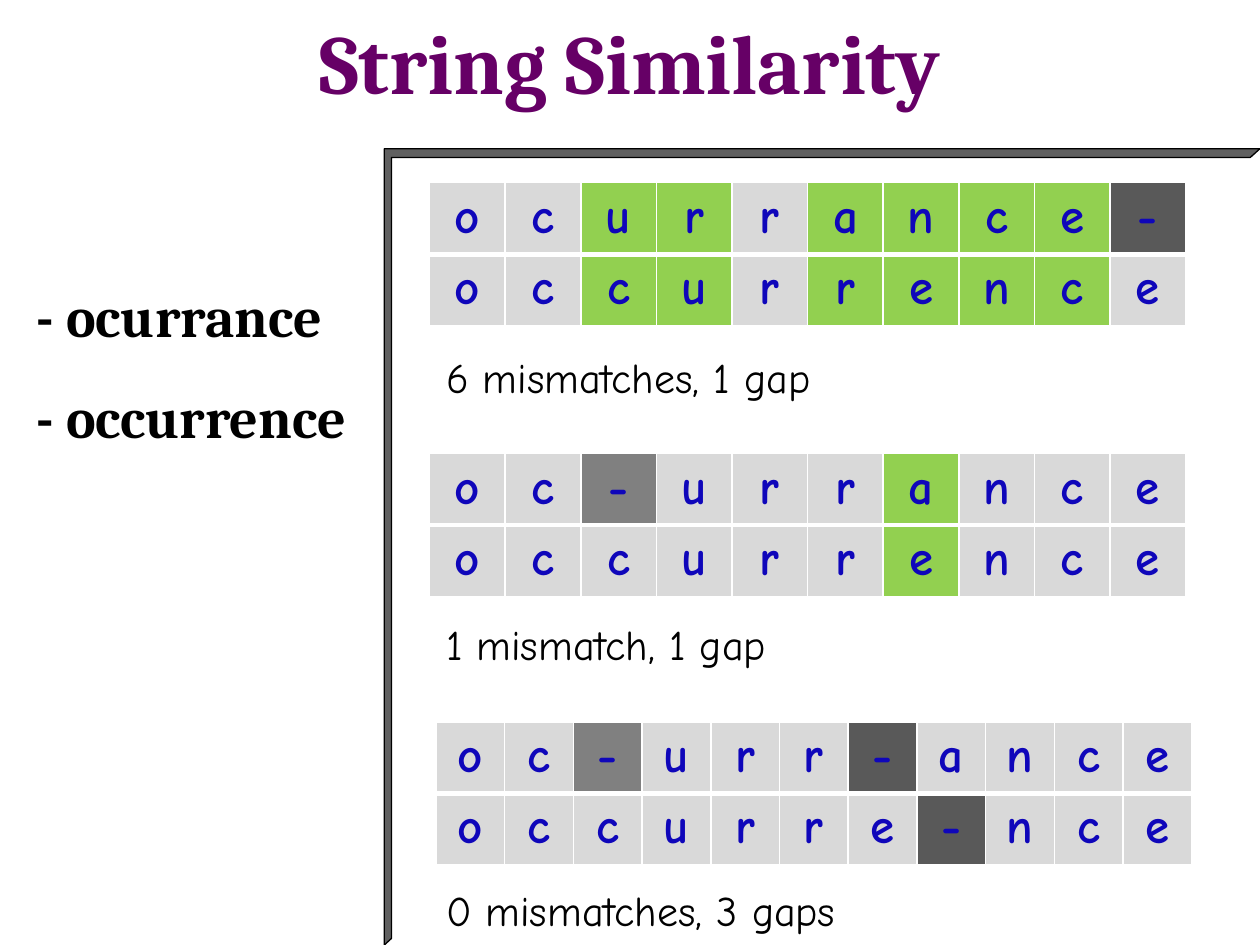
from pptx import Presentation
from pptx.dml.color import RGBColor
from pptx.enum import shapes, text
from pptx.oxml import parse_xml
from pptx.oxml.ns import nsdecls
from pptx.util import Inches, Pt

COLORS = {
    "title": "660066",
    "body": "000000",
    "letter": "0F06BA",
    "same": "D9D9D9",
    "mismatch": "92D050",
    "gap": "595959",
    "light_gap": "808080",
    "frame": "606060",
    "border": "FFFFFF",
}
MARKS = {".": "same", "x": "mismatch", "#": "gap", "+": "light_gap"}
TITLE = {"name": "Cambria", "size": Pt(48), "bold": True}
WORD = {"name": "Cambria", "size": Pt(32), "bold": True}
LETTER = {"name": "Comic Neue", "size": Pt(28), "bold": True}
CAPTION = {"name": "Comic Neue", "size": Pt(24), "bold": False}
ALIGNMENTS = [
    ((3.41, 1.45, 6, 1.13), [("ocurrance-", "..xx.xxxx#"), ("occurrence", "..xx.xxxx.")],
     (3.46, 2.75, 3.79, 0.48), "6 mismatches, 1 gap"),
    ((3.41, 3.6, 6, 1.13), [("oc-urrance", "..+...x..."), ("occurrence", "......x...")],
     (3.46, 4.87, 3.75, 0.48), "1 mismatch, 1 gap"),
    ((3.46, 5.73, 6, 1.13), [("oc-urr-ance", "..+...#...."), ("occurre-nce", ".......#...")],
     (3.46, 6.98, 4.09, 0.48), "0 mismatches, 3 gaps"),
]


def color(name):
    """Return the named colour."""
    return RGBColor.from_string(COLORS[name])


def apply(target, values):
    """Set each attribute of the target from a dict."""
    for name, value in values.items():
        setattr(target, name, value)


def write(paragraph, words, font, color_name, layout):
    """Fill a paragraph with formatted text."""
    run = paragraph.add_run()
    run.text = words
    apply(paragraph, layout)
    apply(run.font, font)
    run.font.color.rgb = color(color_name)


def add_text(slide, box, lines, font, color_name, layout, margins=(0.1, 0.05), anchor="TOP", indent=0):
    """Add a text box with one paragraph per line."""
    frame = slide.shapes.add_textbox(*map(Inches, box)).text_frame
    side, edge = map(Inches, margins)
    apply(frame, {
        "word_wrap": True,
        "vertical_anchor": text.MSO_ANCHOR[anchor],
        "margin_left": side, "margin_right": side,
        "margin_top": edge, "margin_bottom": edge,
    })
    for index, line in enumerate(lines):
        paragraph = frame.add_paragraph() if index else frame.paragraphs[0]
        if indent:
            paragraph._p.get_or_add_pPr().set("marL", str(Inches(indent)))
        write(paragraph, line, font, color_name, layout)


def add_borders(cell, widths):
    """Draw the left, right, top and bottom borders of a cell."""
    properties = cell._tc.get_or_add_tcPr()
    for index, (side, width) in enumerate(zip("LRTB", widths)):
        properties.insert(index, parse_xml(
            f'<a:ln{side} {nsdecls("a")} w="{Pt(width)}"><a:solidFill>'
            f'<a:srgbClr val="{COLORS["border"]}"/></a:solidFill></a:ln{side}>'))


def add_alignment(slide, box, rows, caption_box, caption):
    """Add a table of two aligned words and its caption."""
    table = slide.shapes.add_table(len(rows), len(rows[0][0]), *map(Inches, box)).table
    apply(table, {"first_row": False, "horz_banding": False})
    for row_index, (letters, marks) in enumerate(rows):
        for column_index, (letter, mark) in enumerate(zip(letters, marks)):
            cell = table.cell(row_index, column_index)
            cell.fill.solid()
            cell.fill.fore_color.rgb = color(MARKS[mark])
            add_borders(cell, (1, 1, 3, 1) if row_index else (1, 1, 1, 3))
            write(cell.text_frame.paragraphs[0], letter, LETTER, "letter",
                  {"alignment": text.PP_ALIGN.CENTER})
    add_text(slide, caption_box, [caption], CAPTION, "body", {}, margins=(0.08, 0.04))


def add_frame(slide, box):
    """Add the half frame around the alignments."""
    shape = slide.shapes.add_shape(shapes.MSO_SHAPE.HALF_FRAME, *map(Inches, box))
    shape.shadow.inherit = False
    shape.adjustments[0], shape.adjustments[1] = 0.011, 0.009
    shape.fill.solid()
    shape.fill.fore_color.rgb = color("frame")
    shape.line.color.rgb = color("body")
    shape.line.width = Pt(0.75)


def main():
    """Build and save the presentation."""
    presentation = Presentation()
    apply(presentation, {"slide_width": Inches(10), "slide_height": Inches(7.5)})
    slide = presentation.slides.add_slide(presentation.slide_layouts[6])
    add_text(slide, (0, 0.17, 10, 0.83), ["String Similarity"], TITLE, "title",
             {"alignment": text.PP_ALIGN.CENTER, "line_spacing": 0.7}, anchor="MIDDLE")
    add_text(slide, (0.1, 1.92, 2.77, 2.1), ["- ocurrance", "- occurrence"], WORD, "body",
             {"line_spacing": 1.5}, indent=0.09)
    for alignment in ALIGNMENTS:
        add_alignment(slide, *alignment)
    add_frame(slide, (3.05, 1.18, 6.95, 6.32))
    presentation.save("out.pptx")


if __name__ == "__main__":
    main()
